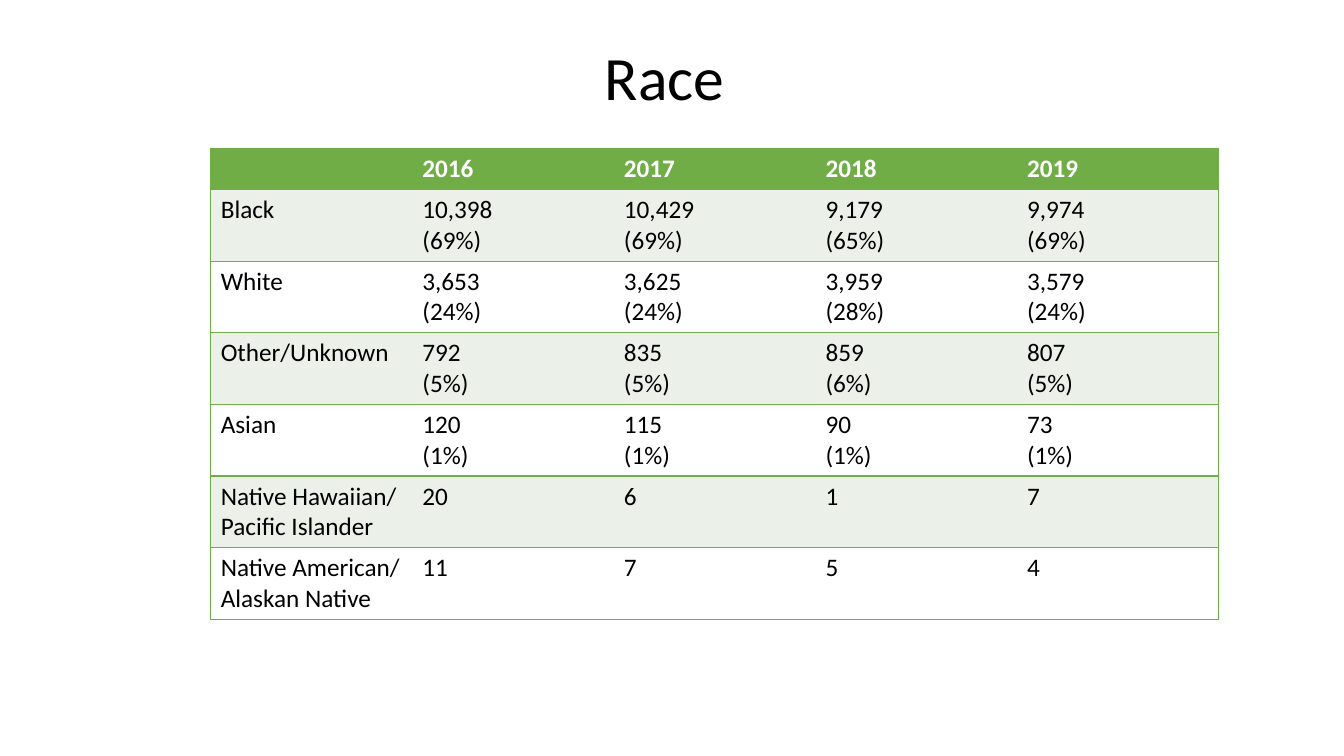
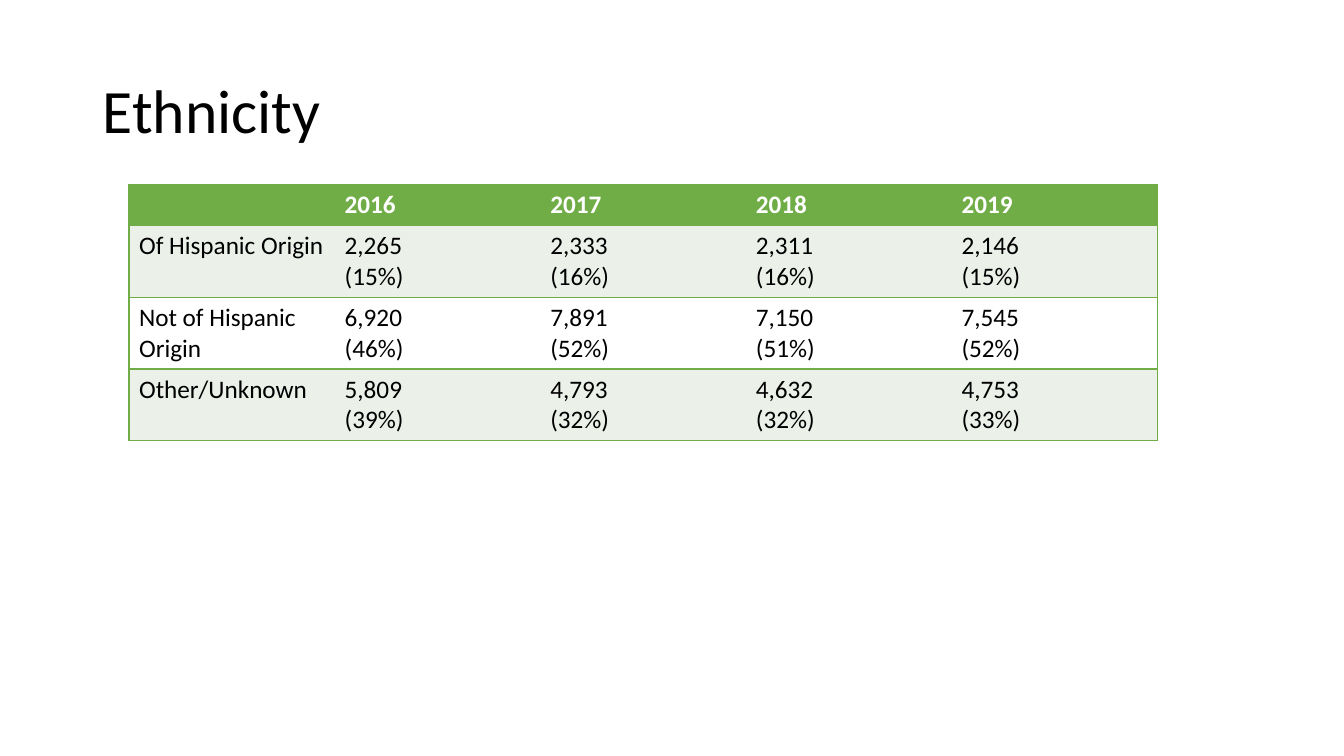
import dataclasses
import pptx
import pptx.dml.color
import pptx.enum.text
import pptx.oxml
import pptx.oxml.ns
import pptx.util

WIDTH, HEIGHT = pptx.util.Inches(13.33), pptx.util.Inches(7.5)
FONT = "Calibri"
GREEN, PALE, WHITE, BLACK = "70AD47", "EBF1E9", "FFFFFF", "000000"
HEAD, BODY = 5.47, 9.33
YEARS = ["", "2016", "2017", "2018", "2019"]


@dataclasses.dataclass
class Box:
    left: float
    top: float
    width: float
    height: float = 0


@dataclasses.dataclass
class Topic:
    title: str
    place: Box
    grid: Box
    rows: list[list[str]]


TOPICS = [
    Topic("Race", Box(44.26, 0.93, 17.78, 19.33), Box(15.68, 19.6, 75), [
        ["Black", "10,398\n(69%)", "10,429\n(69%)", "9,179\n(65%)", "9,974\n(69%)"],
        ["White", "3,653\n(24%)", "3,625\n(24%)", "3,959\n(28%)", "3,579\n(24%)"],
        ["Other/Unknown", "792\n(5%)", "835\n(5%)", "859\n(6%)", "807\n(5%)"],
        ["Asian", "120\n(1%)", "115\n(1%)", "90\n(1%)", "73\n(1%)"],
        ["Native Hawaiian/ Pacific Islander", "20", "6", "1", "7"],
        ["Native American/ Alaskan Native", "11", "7", "5", "4"],
    ]),
    Topic("Ethnicity", Box(6.9, 5.33, 86.25, 19.33), Box(9.6, 24.4, 76.5), [
        ["Of Hispanic Origin", "2,265\n(15%)", "2,333\n(16%)", "2,311\n(16%)", "2,146\n(15%)"],
        ["Not of Hispanic Origin", "6,920\n(46%)", "7,891\n(52%)", "7,150\n(51%)", "7,545\n(52%)"],
        ["Other/Unknown", "5,809\n(39%)", "4,793\n(32%)", "4,632\n(32%)", "4,753\n(33%)"],
    ]),
]


def across(share: float) -> int:
    return round(WIDTH * share / 100)


def down(share: float) -> int:
    return round(HEIGHT * share / 100)


def color(code: str) -> pptx.dml.color.RGBColor:
    return pptx.dml.color.RGBColor.from_string(code)


def write(frame, text: str, *, size: float = 18, ink: str = BLACK,
          bold: bool = False, space: float = 1) -> None:
    frame.text = text
    for line in frame.paragraphs:
        line.alignment = pptx.enum.text.PP_ALIGN.LEFT
        line.line_spacing = space
        line.font.size = pptx.util.Pt(size)
        for run in line.runs:
            font = run.font
            font.name, font.size, font.bold = FONT, pptx.util.Pt(size), bold
            font.color.rgb = color(ink)


def border(cell, sides: str) -> None:
    props = cell._tc.get_or_add_tcPr()
    for index, side in enumerate("LRTB"):
        paint = "<a:noFill/>"
        if side in sides:
            paint = f'<a:solidFill><a:srgbClr val="{GREEN}"/></a:solidFill>'
        line = pptx.oxml.parse_xml(
            f'<a:ln{side} {pptx.oxml.ns.nsdecls("a")} w="{pptx.util.Pt(1)}">'
            f"{paint}</a:ln{side}>")
        props.insert(index, line)


def title(slide, topic: Topic) -> None:
    shape, box = slide.shapes.title, topic.place
    shape.left, shape.top = across(box.left), down(box.top)
    shape.width, shape.height = across(box.width), down(box.height)
    frame = shape.text_frame
    frame.word_wrap = True
    frame.auto_size = pptx.enum.text.MSO_AUTO_SIZE.NONE
    frame.vertical_anchor = pptx.enum.text.MSO_ANCHOR.MIDDLE
    write(frame, topic.title, size=44, space=0.9)


def table(slide, topic: Topic) -> None:
    box, rows = topic.grid, [YEARS, *topic.rows]
    tall = HEAD + BODY * len(topic.rows)
    grid = slide.shapes.add_table(
        len(rows), len(YEARS), across(box.left), down(box.top),
        across(box.width), down(tall)).table
    grid.first_row = grid.horz_banding = False
    for column in grid.columns:
        column.width = across(box.width / len(YEARS))
    for r, row in enumerate(rows):
        head = r == 0
        grid.rows[r].height = down(HEAD if head else BODY)
        tint = GREEN if head else PALE if r % 2 else WHITE
        for c, text in enumerate(row):
            cell = grid.cell(r, c)
            cell.fill.solid()
            cell.fill.fore_color.rgb = color(tint)
            write(cell.text_frame, text, ink=WHITE if head else BLACK, bold=head)
            ends = {0: "L", len(row) - 1: "R"}
            border(cell, "TB" + ends.get(c, ""))


def main() -> None:
    deck = pptx.Presentation()
    deck.slide_width, deck.slide_height = WIDTH, HEIGHT
    for topic in TOPICS:
        slide = deck.slides.add_slide(deck.slide_layouts[5])
        title(slide, topic)
        table(slide, topic)
    deck.save("out.pptx")


main()
